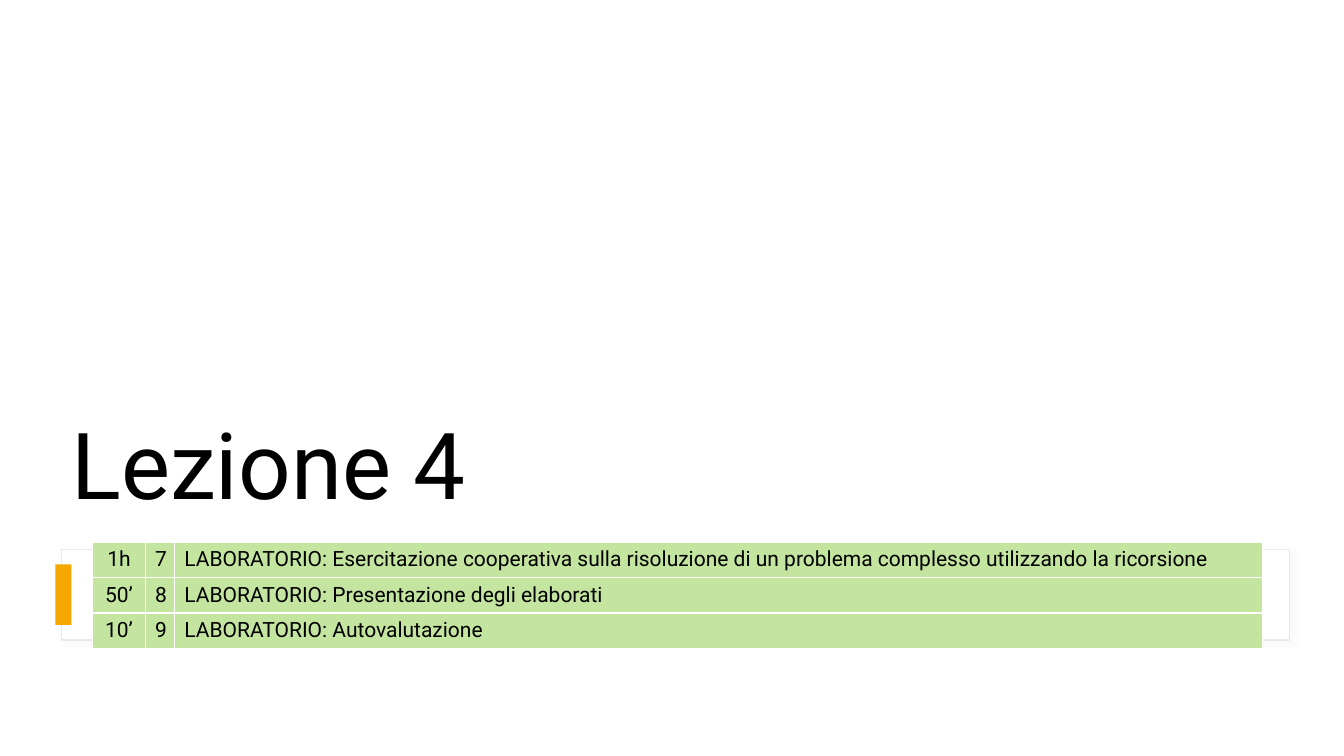
"""Build the title slide of lesson 4 with its laboratory schedule."""
from dataclasses import dataclass

from lxml.etree import SubElement
from pptx import Presentation
from pptx.dml.color import RGBColor
from pptx.enum.shapes import MSO_SHAPE
from pptx.enum.text import MSO_ANCHOR, PP_ALIGN
from pptx.oxml import parse_xml
from pptx.oxml.ns import nsdecls, qn
from pptx.util import Emu, Pt


@dataclass(frozen=True)
class Theme:
    font: str = "Roboto"
    text: str = "000000"
    white: str = "FFFFFF"
    border: str = "E9E9E9"
    shadow: str = "D9D9D9"
    accent: str = "F5A700"
    row: str = "C4E59F"
    title_size: int = 66
    table_size: int = 15


T = Theme()
PX = 9144


def px(*values):
    return [Emu(v * PX) for v in values]


def write(tf, text, size, align=PP_ALIGN.LEFT, spacing=1.0):
    p = tf.paragraphs[0]
    p.alignment = align
    p.line_spacing = spacing
    r = p.add_run()
    r.text = text
    r.font.name = T.font
    r.font.size = Pt(size)
    r.font.bold = False
    r.font.color.rgb = RGBColor.from_string(T.text)


prs = Presentation()
prs.slide_width, prs.slide_height = px(1333, 750)
s = prs.slides.add_slide(prs.slide_layouts[6])

for box, fill, line in [
    ((61, 545, 1218, 90), T.white, T.border),
    ((55, 560, 16, 60), T.accent, None),
]:
    sp = s.shapes.add_shape(MSO_SHAPE.RECTANGLE, *px(*box))
    sp.shadow.inherit = False
    sp.fill.solid()
    sp.fill.fore_color.rgb = RGBColor.from_string(fill)
    if line:
        sp.line.color.rgb = RGBColor.from_string(line)
        sp.line.width = Pt(1)
        effects = sp._element.spPr.find(qn("a:effectLst"))
        effects.append(parse_xml(
            f'<a:outerShdw {nsdecls("a")} blurRad="{Pt(4)}" dist="{Pt(3)}" dir="2700000" '
            f'algn="tl" rotWithShape="0"><a:srgbClr val="{T.shadow}">'
            '<a:alpha val="12000"/></a:srgbClr></a:outerShdw>'))
    else:
        sp.line.fill.background()

title = s.shapes.add_textbox(*px(61, 70, 1191, 450))
tf = title.text_frame
tf.word_wrap = True
tf.vertical_anchor = MSO_ANCHOR.BOTTOM
write(tf, "Lezione 4", T.title_size, spacing=0.9)

activities = [
    ("1h", "7", "LABORATORIO: Esercitazione cooperativa sulla risoluzione di un problema "
                "complesso utilizzando la ricorsione"),
    ("50’", "8", "LABORATORIO: Presentazione degli elaborati"),
    ("10’", "9", "LABORATORIO: Autovalutazione"),
]
widths = px(52, 29, 1079)
row_height = 29
frame = s.shapes.add_table(len(activities), len(widths),
                           *px(92, 538, 1160, row_height * len(activities)))
table = frame.table
table.first_row = table.horz_banding = False
for column, width in zip(table.columns, widths):
    column.width = width

for i, activity in enumerate(activities):
    for j, text in enumerate(activity):
        cell = table.cell(i, j)
        write(cell.text_frame, text, T.table_size,
              align=PP_ALIGN.LEFT if j == 2 else PP_ALIGN.CENTER)
        tcPr = cell._tc.get_or_add_tcPr()
        for side in ("lnL", "lnR", "lnT", "lnB"):
            ln = SubElement(tcPr, qn(f"a:{side}"), w=str(Pt(1)))
            SubElement(SubElement(ln, qn("a:solidFill")), qn("a:srgbClr"), val=T.white)
        cell.fill.solid()
        cell.fill.fore_color.rgb = RGBColor.from_string(T.row)

prs.save("out.pptx")
